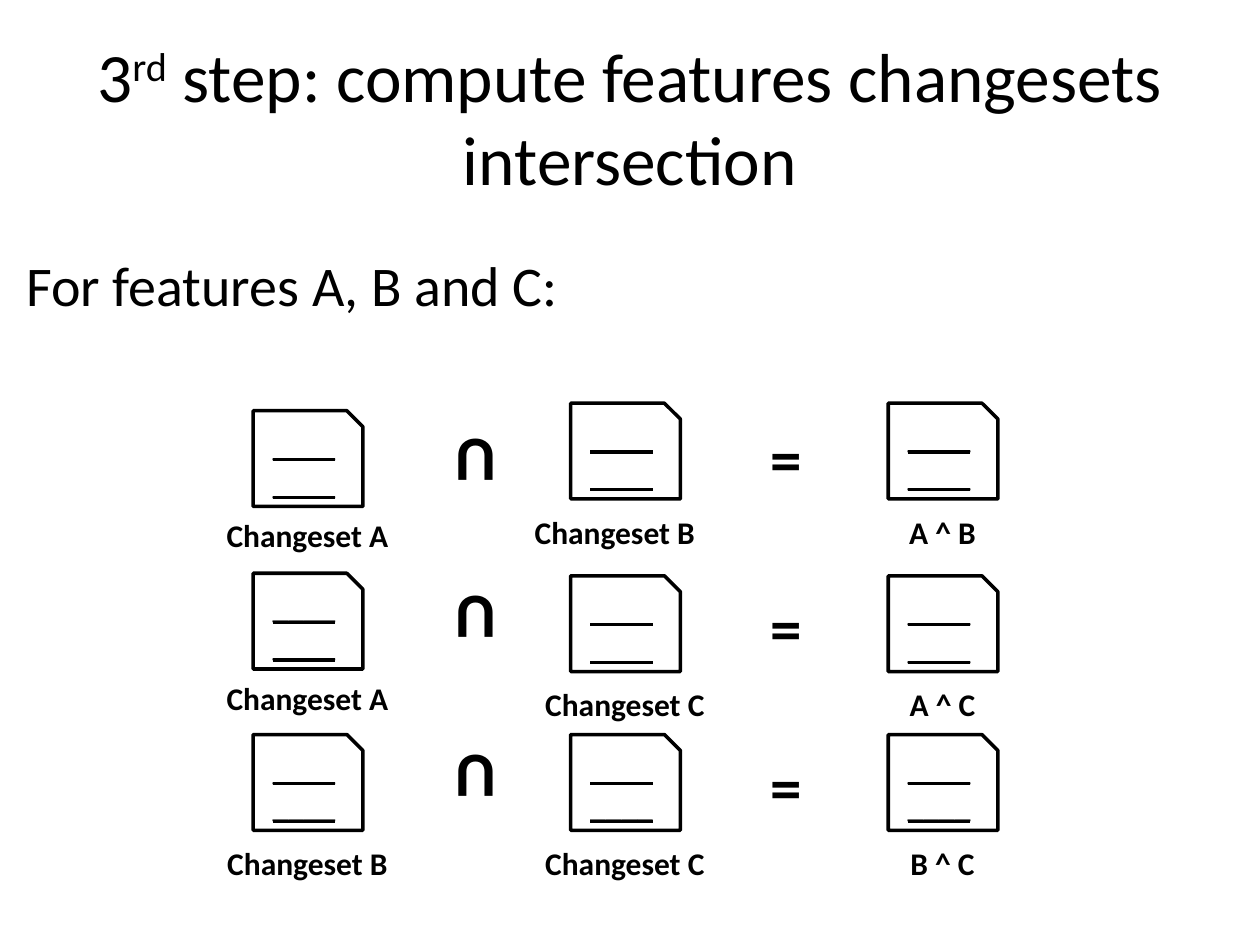
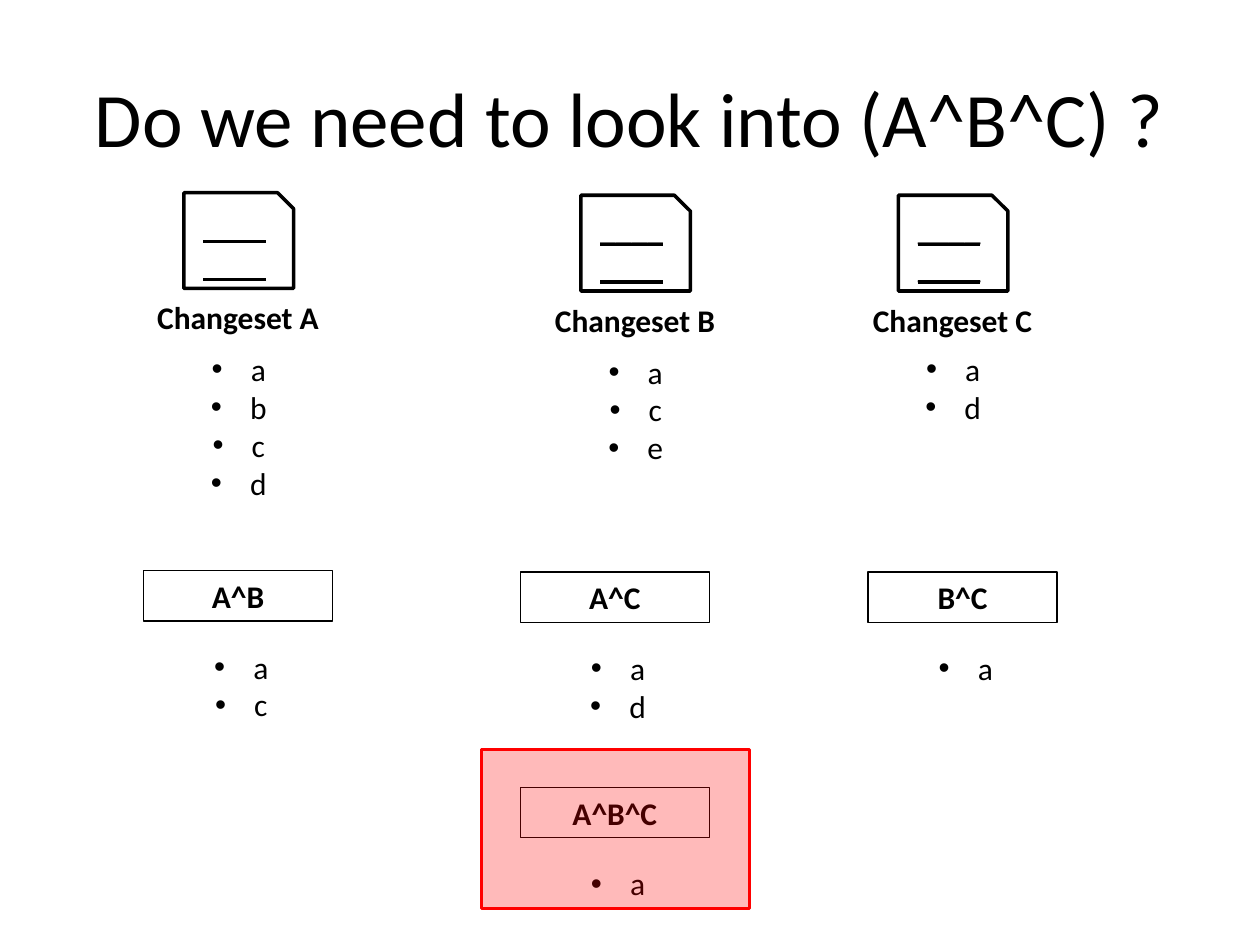
from dataclasses import dataclass
from pptx import Presentation
from pptx.dml.color import RGBColor
from pptx.enum.shapes import MSO_SHAPE
from pptx.enum.text import MSO_ANCHOR, PP_ALIGN
from pptx.oxml.ns import qn
from pptx.util import Inches, Pt
from lxml.etree import SubElement


@dataclass
class Theme:
    font: str = "Calibri"
    ink: RGBColor = RGBColor(0, 0, 0)
    alert: RGBColor = RGBColor(255, 0, 0)
    title: float = 44
    tight: float = 39.6
    lead: float = 32
    sign: float = 36
    body: float = 18
    thick: float = 2
    thin: float = 0.75


theme = Theme()


def put(slide, at, lines, size=theme.body, bold=False, line=None,
        kind=None, align=PP_ALIGN.CENTER, bullet=False):
    """Place a text box, or a preset shape if kind is given."""
    place = [Inches(n) for n in at]
    if kind is None:
        shape = slide.shapes.add_textbox(*place)
    else:
        shape = slide.shapes.add_shape(kind, *place)
        shape.shadow.inherit = False
        shape.fill.background()
        shape.line.color.rgb = theme.ink
        shape.line.width = Pt(line)
    frame = shape.text_frame
    frame.word_wrap = True
    frame.text = lines
    for para in frame.paragraphs:
        para.alignment = align
        for run in para.runs:
            run.font.name = theme.font
            run.font.size = Pt(size)
            run.font.bold = bold
            run.font.color.rgb = theme.ink
        if bullet:
            props = para._p.get_or_add_pPr()
            props.set("marL", str(Inches(0.31)))
            props.set("indent", str(-Inches(0.31)))
            SubElement(props, qn("a:buFont")).set("typeface", "Arial")
            SubElement(props, qn("a:buChar")).set("char", "•")
    return shape


def sheet(slide, left, top, label, shift=-0.32, drop=0.82):
    """Draw a document icon with two rules and a label below."""
    icon = put(slide, (left, top, 0.87, 0.76), "________",
               kind=MSO_SHAPE.SNIP_1_RECTANGLE, line=theme.thick)
    icon.text_frame.vertical_anchor = MSO_ANCHOR.MIDDLE
    icon.text_frame.paragraphs[0].runs[0].font.underline = True
    put(slide, (left + shift, top + drop, 1.5, 0.4), label, bold=True)


deck = Presentation()
deck.slide_width, deck.slide_height = Inches(10), Inches(7.5)

# Slides and their titles
titles = [
    (["3", "rd", " step: compute features changesets intersection"], theme.tight),
    (["Do we need to look into (A^B^C) ?"], theme.title),
]
for parts, size in titles:
    slide = deck.slides.add_slide(deck.slide_layouts[5])
    head = slide.shapes.title
    head.left, head.top = Inches(0.5), Inches(0.3)
    head.width, head.height = Inches(9), Inches(1.25)
    head.text_frame.vertical_anchor = MSO_ANCHOR.MIDDLE
    para = head.text_frame.paragraphs[0]
    para.alignment = PP_ALIGN.CENTER
    for part in parts:
        run = para.add_run()
        run.text = part
        run.font.name = theme.font
        run.font.size = Pt(size)
        run.font.color.rgb = theme.ink
        if part == "rd":
            run._r.get_or_add_rPr().set("baseline", "30000")
step, check = deck.slides

# Slide 1: one equation per pair of features
put(step, (0.11, 1.94, 4.5, 0.66), "For features A, B and C:",
    theme.lead, align=PP_ALIGN.LEFT)
pairs = [
    # first, second, top of first, top of others, top of cap, top of equals
    ("A", "B", 3.26, 3.2, 3.44, 3.28),
    ("A", "C", 4.55, 4.57, 4.69, 4.62),
    ("B", "C", 5.83, 5.83, 5.95, 5.88),
]
cols = [2.01 + 2.52 * n for n in range(3)]
for one, two, first, rest, cap, same in pairs:
    sheet(step, cols[0], first, f"Changeset {one}",
          drop=0.79 if one == "A" else 0.82)
    sheet(step, cols[1], rest, f"Changeset {two}",
          shift=-0.4 if two == "B" else -0.32)
    sheet(step, cols[2], rest, f"{one} ^ {two}")
    sign = put(step, (3.5, cap, 0.55, 0.49), "U", theme.sign, True)
    sign.rotation = 180
    sign.text_frame.vertical_anchor = MSO_ANCHOR.MIDDLE
    put(step, (6.02, same, 0.39, 0.71), "=", theme.sign, True,
        align=PP_ALIGN.LEFT)

# Slide 2: changesets and their items
sets = [
    ("A", "abcd", 1.46, 1.53, 2.73),
    ("B", "ace", 4.61, 1.55, 2.75),
    ("C", "ad", 7.13, 1.55, 2.73),
]
for name, items, left, top, low in sets:
    sheet(check, left, top, f"Changeset {name}", drop=0.79)
    put(check, (left + 0.06, low, 0.75, 0.1 + 0.3 * len(items)),
        "\n".join(items), bullet=True)

# Intersections and their items
meets = [
    ("A^B", "ac", 1.14, 4.53),
    ("A^C", "ad", 4.13, 4.54),
    ("B^C", "a", 6.89, 4.54),
    ("A^B^C", "a", 4.13, 6.25),
]
for name, items, left, top in meets:
    put(check, (left, top, 1.5, 0.4), name, bold=True,
        kind=MSO_SHAPE.RECTANGLE, line=theme.thin)
    put(check, (left + 0.4, top + 0.56, 0.75, 0.1 + 0.3 * len(items)),
        "\n".join(items), bullet=True)

# Red veil over the triple intersection
veil = put(check, (3.82, 5.95, 2.13, 1.26), "",
           kind=MSO_SHAPE.RECTANGLE, line=theme.thick)
veil.fill.solid()
veil.fill.fore_color.rgb = theme.alert
veil.line.color.rgb = theme.alert
tint = veil.element.spPr.find(qn("a:solidFill")).find(qn("a:srgbClr"))
SubElement(tint, qn("a:alpha")).set("val", "27000")

deck.save("out.pptx")
